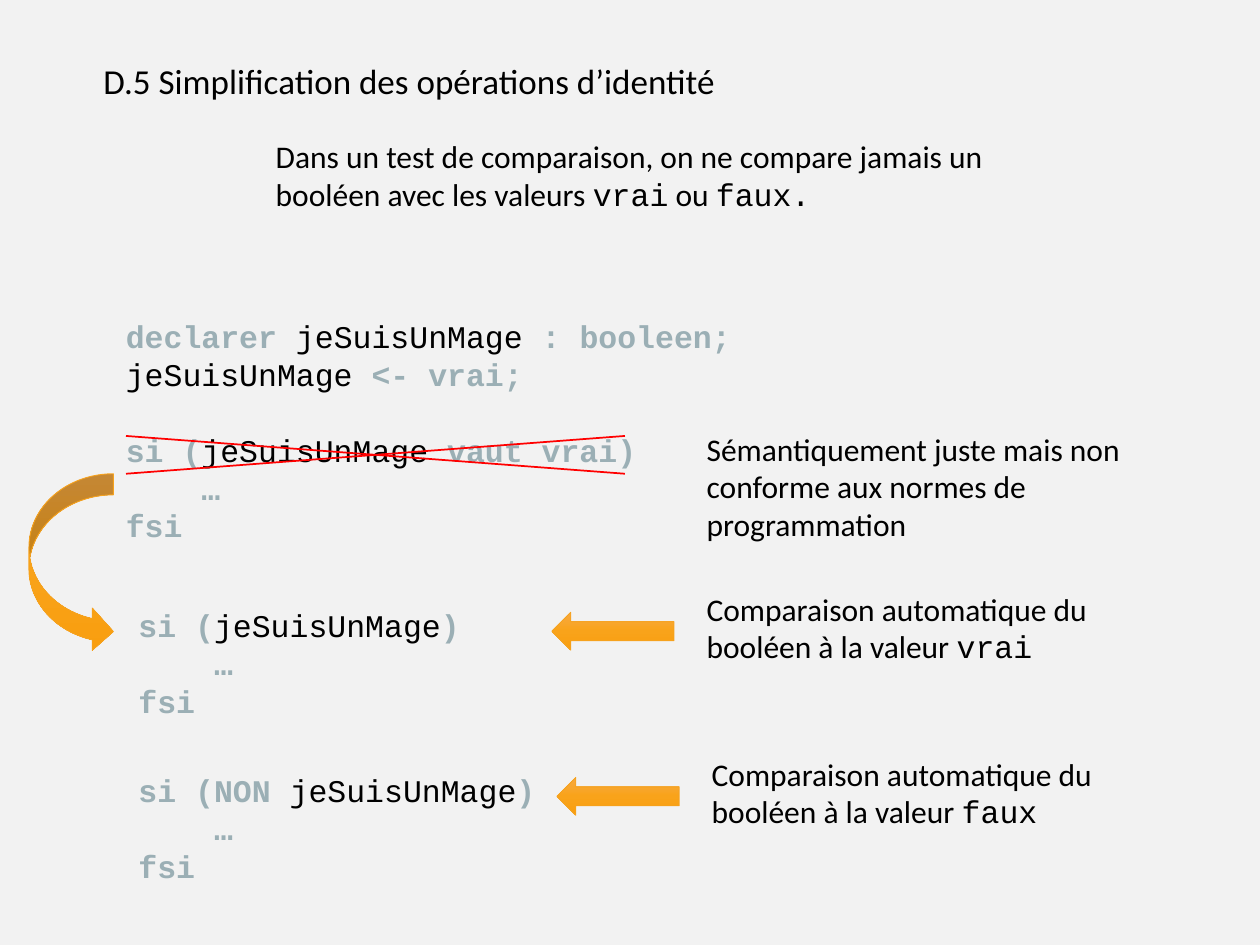
import copy

import pptx
import pptx.dml.color
import pptx.enum.shapes
import pptx.enum.text
import pptx.oxml.ns
import pptx.util
from lxml import etree
from pptx.util import Inches

RGBColor = pptx.dml.color.RGBColor
BACKGROUND = RGBColor(0xF2, 0xF2, 0xF2)
BLACK = RGBColor(0, 0, 0)
KEYWORD = RGBColor(0x9B, 0xAF, 0xB5)
RED = RGBColor(0xFF, 0, 0)
ARROW_LINE = RGBColor(0xF6, 0xA2, 0x1D)
ARROW_STOPS = [
    (0, RGBColor(0xF7, 0xA9, 0x42)),
    (0.5, RGBColor(0xF9, 0xA3, 0x1A)),
    (1, RGBColor(0xF9, 0x9E, 0x0F)),
]
PROSE_FONT = "Calibri"
CODE_FONT = "Courier New"
TEXT_SIZE = pptx.util.Pt(18)
CODE_LINE = pptx.util.Pt(21.6)
ARROWS = pptx.enum.shapes.MSO_SHAPE


def add_title(slide, box, text):
    title = slide.shapes.title
    title.left, title.top, title.width, title.height = box
    frame = title.text_frame
    frame.text = text
    frame.word_wrap = False
    frame.vertical_anchor = pptx.enum.text.MSO_ANCHOR.TOP
    frame.auto_size = pptx.enum.text.MSO_AUTO_SIZE.SHAPE_TO_FIT_TEXT
    paragraph = frame.paragraphs[0]
    paragraph.alignment = pptx.enum.text.PP_ALIGN.LEFT
    paragraph.font.name = PROSE_FONT
    paragraph.font.size = pptx.util.Pt(20)
    paragraph.font.color.rgb = BLACK


def add_text_frame(slide, box, wrap):
    frame = slide.shapes.add_textbox(*box).text_frame
    frame.word_wrap = wrap
    frame.auto_size = pptx.enum.text.MSO_AUTO_SIZE.SHAPE_TO_FIT_TEXT
    return frame


def add_prose(slide, box, *parts):
    paragraph = add_text_frame(slide, box, True).paragraphs[0]
    paragraph.font.size = TEXT_SIZE
    paragraph.font.color.rgb = BLACK
    for index, text in enumerate(parts):
        run = paragraph.add_run()
        run.text = text
        run.font.size = TEXT_SIZE
        run.font.color.rgb = BLACK
        run.font.name = CODE_FONT if index % 2 else PROSE_FONT


def add_code(slide, box, lines, wrap=True, gap_before=None):
    frame = add_text_frame(slide, box, wrap)
    for index, parts in enumerate(lines):
        paragraph = frame.paragraphs[0] if index == 0 else frame.add_paragraph()
        if index == gap_before:
            paragraph.space_before = CODE_LINE
        for text in parts:
            run = paragraph.add_run()
            run.text = text
            is_variable = text.strip() == "jeSuisUnMage"
            run.font.name = CODE_FONT
            run.font.size = TEXT_SIZE
            run.font.bold = not is_variable
            run.font.color.rgb = BLACK if is_variable else KEYWORD


def add_arrow(slide, box, kind):
    arrow = slide.shapes.add_shape(kind, *box)
    arrow.shadow.inherit = False
    arrow.fill.gradient()
    arrow.fill.gradient_angle = 270
    stop_list = arrow.fill._fill._gradFill.gsLst
    stop_list.insert(1, copy.deepcopy(stop_list[0]))
    for stop, (position, color) in zip(arrow.fill.gradient_stops, ARROW_STOPS):
        stop.position = position
        stop.color.rgb = color
    arrow.line.color.rgb = ARROW_LINE
    arrow.line.width = pptx.util.Pt(0.5)


def add_cross(slide, box):
    left, top, width, height = box
    right, bottom = left + width, top + height
    group = slide.shapes.add_group_shape()
    for start, end in [(bottom, top), (top, bottom)]:
        stroke = group.shapes.add_connector(
            pptx.enum.shapes.MSO_CONNECTOR.STRAIGHT, left, start, right, end)
        stroke.line.color.rgb = RED
        stroke.line.width = pptx.util.Pt(1)
        etree.SubElement(stroke._element.spPr, pptx.oxml.ns.qn("a:effectLst"))


def add_example(slide, box, condition, value, shift):
    left, top, width, height = box
    body = [["    …"], ["fsi"]]
    add_code(slide, box, [condition] + body)
    arrow_left = left + Inches(3.38) + shift
    add_arrow(slide, (arrow_left, top + Inches(0.1), Inches(0.97), Inches(0.3)),
              ARROWS.LEFT_ARROW)
    note_left = left + Inches(4.51) + shift
    add_prose(slide, (note_left, top - Inches(0.13), Inches(3.37), Inches(0.71)),
              "Comparaison automatique du booléen à la valeur ", value)


def add_discouraged_form(slide, box):
    left, top, width, height = box
    add_code(slide, box, [
        ["declarer ", "jeSuisUnMage", " : booleen;"],
        ["jeSuisUnMage", " <- vrai;"],
        ["si (", "jeSuisUnMage ", "vaut vrai)"],
        ["    …"],
        ["fsi"],
    ], wrap=False, gap_before=2)
    add_prose(slide, (left + Inches(4.61), top + Inches(0.89), Inches(4.02), Inches(1.01)),
              "Sémantiquement juste mais non conforme aux normes de programmation")
    add_cross(slide, (left + Inches(0.1), top + Inches(0.99), Inches(3.96), Inches(0.3)))


def main():
    presentation = pptx.Presentation()
    presentation.slide_width = Inches(10)
    presentation.slide_height = Inches(7.5)
    slide = presentation.slides.add_slide(presentation.slide_layouts[5])
    slide.background.fill.solid()
    slide.background.fill.fore_color.rgb = BACKGROUND

    add_title(slide, (Inches(0.72), Inches(0.42), Inches(5.6), Inches(0.44)),
              "D.5 Simplification des opérations d’identité")
    add_prose(slide, (Inches(2.09), Inches(1.04), Inches(6.03), Inches(0.71)),
              "Dans un test de comparaison, on ne compare jamais un booléen avec les valeurs ",
              "vrai", " ou ", "faux.")
    add_discouraged_form(slide, (Inches(0.9), Inches(2.47), Inches(5.05), Inches(1.92)))
    add_arrow(slide, (Inches(0.23), Inches(3.76), Inches(0.67), Inches(1.42)),
              ARROWS.CURVED_RIGHT_ARROW)
    examples = [
        (4.76, ["si (", "jeSuisUnMage", ")"], "vrai", 0),
        (6.07, ["si (NON ", "jeSuisUnMage", ")"], "faux", 0.04),
    ]
    for top, condition, value, shift in examples:
        add_example(slide, (Inches(1), Inches(top), Inches(4.38), Inches(1.31)),
                    condition, value, Inches(shift))
    presentation.save("out.pptx")


if __name__ == "__main__":
    main()
